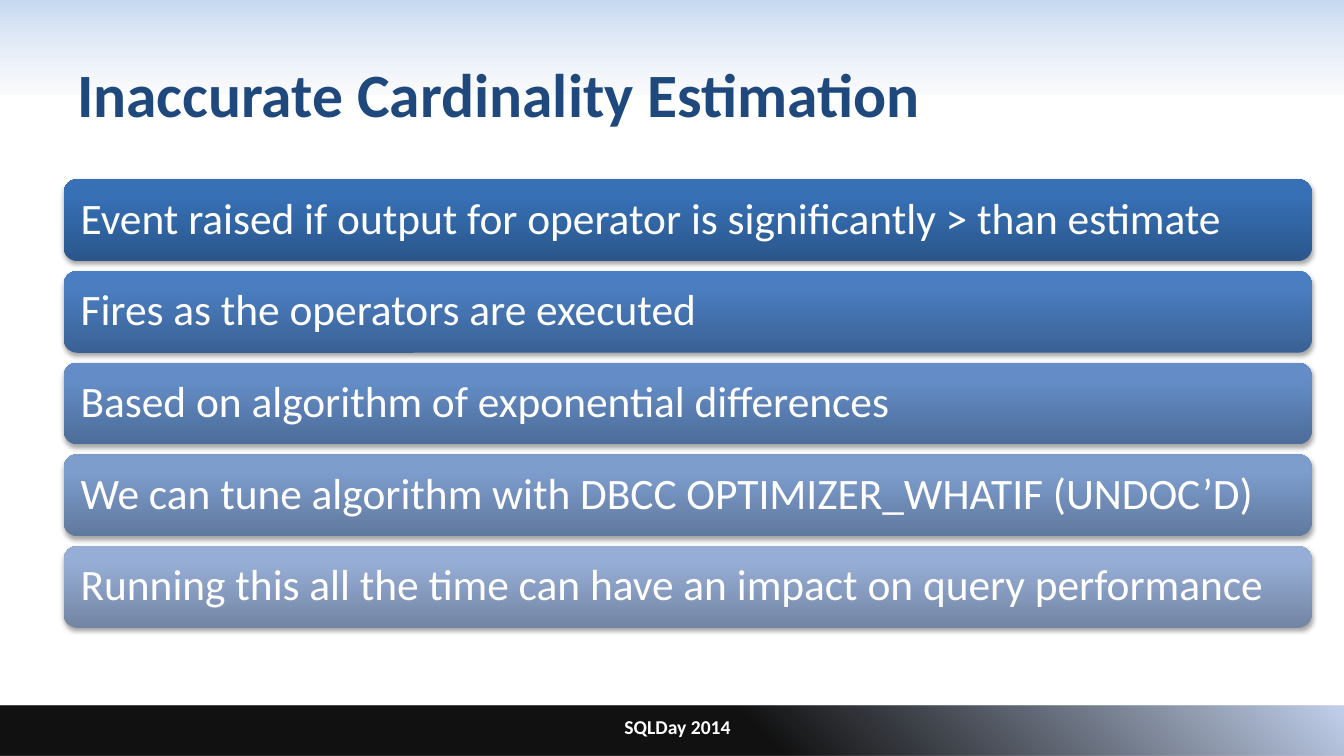
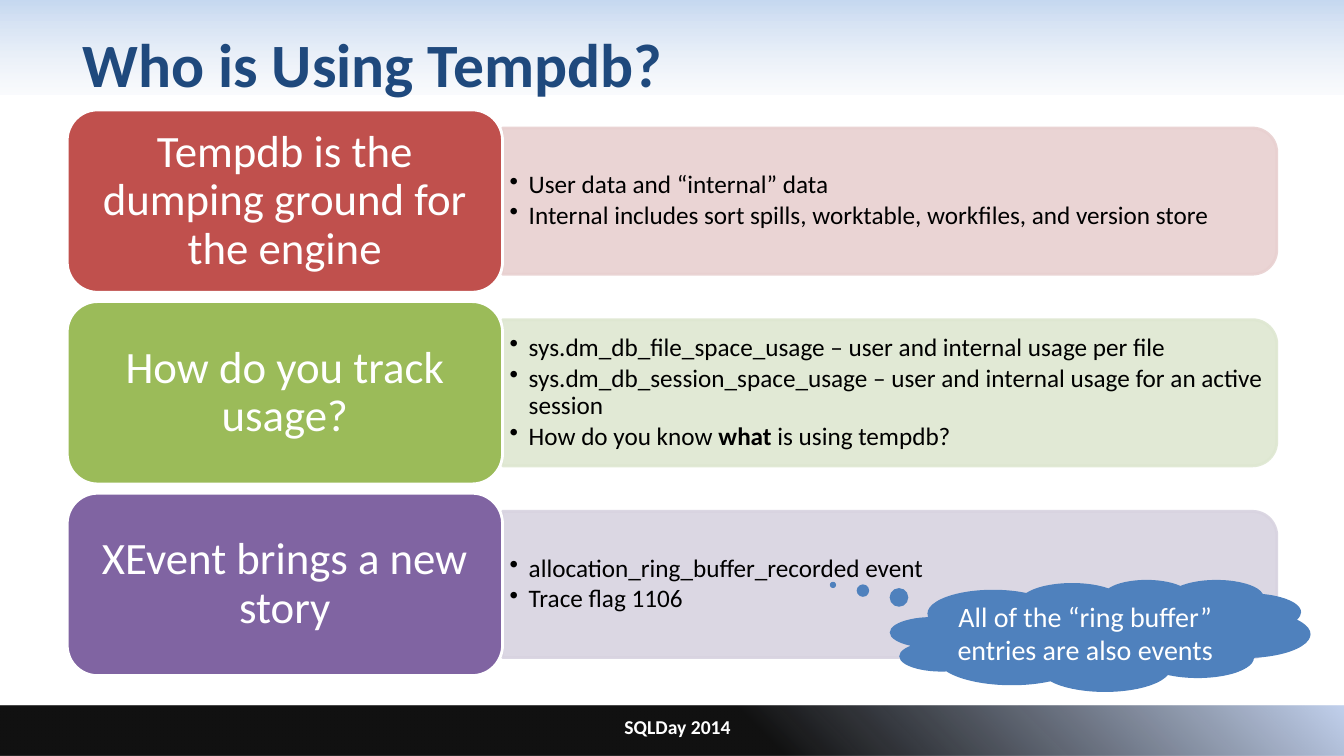
import pptx
import pptx.util
import pptx.dml.color
import pptx.enum.shapes
import pptx.enum.text
import pptx.oxml
import pptx.oxml.ns
import lxml.etree

Pt = pptx.util.Pt
RGBColor = pptx.dml.color.RGBColor
SHAPE = pptx.enum.shapes.MSO_SHAPE
ALIGN = pptx.enum.text.PP_ALIGN
MIDDLE = pptx.enum.text.MSO_ANCHOR.MIDDLE
qn = pptx.oxml.ns.qn

FONT = "Calibri"
WHITE = RGBColor(0xFF, 0xFF, 0xFF)
BLACK = RGBColor(0x00, 0x00, 0x00)
NAVY = RGBColor(0x1F, 0x49, 0x7D)
BLUE = RGBColor(0x4F, 0x81, 0xBD)
RED = RGBColor(0xC0, 0x50, 0x4D)
GREEN = RGBColor(0x9B, 0xBB, 0x59)
PURPLE = RGBColor(0x80, 0x64, 0xA2)
PALE_RED = RGBColor(0xE8, 0xD0, 0xD0)
PALE_GREEN = RGBColor(0xDE, 0xE7, 0xD1)
PALE_PURPLE = RGBColor(0xD8, 0xD3, 0xE0)
SKY = RGBColor(0xC6, 0xD9, 0xF1)
MIST = RGBColor(0xE1, 0xE8, 0xF5)
ICE = RGBColor(0xC2, 0xD1, 0xED)

SLIDE_W, SLIDE_H = 960, 540
HEADER_BAND = (0, 0, SLIDE_W, 67.5)
FOOTER_BAND = (0, 504, SLIDE_W, SLIDE_H - 504)
FOOTER_BOX = (272, 504, 424, 30)
FOOTER = "SQLDay 2014"
HEADER_STOPS = [(0, SKY, 100), (100, MIST, 16)]
FOOTER_STOPS = [(56, BLACK, 93), (100, ICE, 100)]

ESTIMATION_TITLE = "Inaccurate Cardinality Estimation"
ESTIMATION_BARS = [
    ("Event raised if output for operator is significantly > than estimate",
     "2A568B", "3770B5", "3570B8"),
    ("Fires as the operators are executed", "3A6194", "4B7EC1", "497EC4"),
    ("Based on algorithm of exponential differences",
     "4D6C99", "648DC7", "638DCA"),
    ("We can tune algorithm with DBCC OPTIMIZER_WHATIF (UNDOC’D)",
     "60799E", "7D9DCD", "7C9DD0"),
    ("Running this all the time can have an impact on query performance",
     "7385A4", "96ADD5", "95ADD7"),
]
BAR_LEFT, BAR_TOP, BAR_W, BAR_H, BAR_PITCH = 45.5, 128, 891.5, 58.5, 65.5

TEMPDB_TITLE = "Who is Using Tempdb?"
TEMPDB_TOPICS = [
    ("Tempdb is the dumping ground for the engine", RED, PALE_RED, [
        ["User data and “internal” data"],
        ["Internal includes sort spills, worktable, workfiles, and version store"],
    ]),
    ("How do you track usage?", GREEN, PALE_GREEN, [
        ["sys.dm_db_file_space_usage – user and internal usage per file"],
        ["sys.dm_db_session_space_usage – user and internal usage for an active session"],
        ["How do you know ", "what", " is using tempdb?"],
    ]),
    ("XEvent brings a new story", PURPLE, PALE_PURPLE, [
        ["allocation_ring_buffer_recorded event"],
        ["Trace flag 1106"],
    ]),
]
EMPHASIS = "what"
TOPIC_LEFT, TOPIC_TOP, TOPIC_W, TOPIC_H, TOPIC_PITCH = 48, 78.5, 311, 130.3, 136.9
PANEL_W, PANEL_H = 553, 104.4
DETAIL_W, DETAIL_H = 548, 94
BULLET_INDENT = 13.7
CALLOUT = "All of the “ring buffer” entries are also events"
CALLOUT_BOX = (635.8, 414, 300.2, 80)
CALLOUT_TAIL = (-0.636, -0.452)


def points(box):
    return [Pt(length) for length in box]


def set_margins(frame, horizontal, vertical):
    frame.margin_left = frame.margin_right = Pt(horizontal)
    frame.margin_top = frame.margin_bottom = Pt(vertical)
    frame.vertical_anchor = MIDDLE
    frame.word_wrap = True


def style(paragraph, size, color, align=ALIGN.LEFT, bold=False):
    paragraph.alignment = align
    font = paragraph.font
    font.name, font.size, font.bold = FONT, Pt(size), bold
    font.color.rgb = color


def write(shape, text, size, color, align=ALIGN.LEFT, bold=False,
          margins=(7.2, 3.6), spacing=1.0):
    set_margins(shape.text_frame, *margins)
    paragraph = shape.text_frame.paragraphs[0]
    paragraph.text = text
    paragraph.line_spacing = spacing
    style(paragraph, size, color, align, bold)


def add_box(slide, kind, box, fill=None, line=None):
    shape = slide.shapes.add_shape(kind, *points(box))
    shape.shadow.inherit = False
    if fill is not None:
        shape.fill.solid()
        shape.fill.fore_color.rgb = fill
    if line is None:
        shape.line.fill.background()
    else:
        shape.line.color.rgb = line
        shape.line.width = Pt(2)
    return shape


def add_child(parent, tag, **attributes):
    child = lxml.etree.SubElement(parent, qn(tag))
    for key, value in attributes.items():
        child.set(key, str(value))
    return child


def add_color(parent, color, opacity=100):
    element = add_child(parent, "a:srgbClr", val=color)
    if opacity < 100:
        add_child(element, "a:alpha", val=opacity * 1000)


def set_gradient(shape, stops, clockwise):
    shape.fill.gradient()
    shape.fill.gradient_angle = 360 - clockwise
    stop_list = shape.element.spPr.find(".//" + qn("a:gsLst"))
    for old_stop in list(stop_list):
        stop_list.remove(old_stop)
    for position, color, opacity in stops:
        add_color(add_child(stop_list, "a:gs", pos=position * 1000), color, opacity)


def add_shadow(shape):
    effects = shape.element.spPr.find(qn("a:effectLst"))
    shadow = add_child(effects, "a:outerShdw", blurRad=int(Pt(3.1)),
                       dist=int(Pt(1.8)), dir=90 * 60000, rotWithShape=0)
    add_color(shadow, BLACK, 35)


def add_slide(deck, title, title_box):
    slide = deck.slides.add_slide(deck.slide_layouts[6])
    for band, stops, angle in ((HEADER_BAND, HEADER_STOPS, 90),
                               (FOOTER_BAND, FOOTER_STOPS, 315)):
        set_gradient(add_box(slide, SHAPE.RECTANGLE, band), stops, angle)
    write(slide.shapes.add_textbox(*points(title_box)), title, 44, NAVY, bold=True)
    write(slide.shapes.add_textbox(*points(FOOTER_BOX)), FOOTER, 14, WHITE,
          ALIGN.CENTER, bold=True)
    return slide


def add_details(slide, box, details):
    frame = slide.shapes.add_textbox(*points(box)).text_frame
    set_margins(frame, 5, 2.9)
    for index, pieces in enumerate(details):
        paragraph = frame.paragraphs[0] if index == 0 else frame.add_paragraph()
        paragraph.line_spacing = 0.9
        paragraph.space_after = Pt(2.5)
        properties = paragraph._p.get_or_add_pPr()
        properties.set("marL", str(int(Pt(BULLET_INDENT))))
        properties.set("indent", str(-int(Pt(BULLET_INDENT))))
        add_child(properties, "a:buChar", char="•")
        style(paragraph, 18, BLACK)
        for piece in pieces:
            run = paragraph.add_run()
            run.text = piece
            if piece == EMPHASIS:
                run.font.bold = True


def build_estimation(deck):
    slide = add_slide(deck, ESTIMATION_TITLE, (48, 21.6, 864, 90))
    for index, (text, bottom, upper, top) in enumerate(ESTIMATION_BARS):
        bar = add_box(slide, SHAPE.ROUNDED_RECTANGLE,
                      (BAR_LEFT, BAR_TOP + index * BAR_PITCH, BAR_W, BAR_H))
        set_gradient(bar, [(0, bottom, 100), (80, upper, 100), (100, top, 100)], 270)
        add_shadow(bar)
        write(bar, text, 31, WHITE, margins=(9.3, 9.3), spacing=0.9)


def build_tempdb(deck):
    slide = add_slide(deck, TEMPDB_TITLE, (52, 0, 864, 90))
    panel_left = TOPIC_LEFT + TOPIC_W
    for index, (topic, color, pale, details) in enumerate(TEMPDB_TOPICS):
        top = TOPIC_TOP + index * TOPIC_PITCH
        middle = top + TOPIC_H / 2
        panel = add_box(slide, SHAPE.ROUND_2_SAME_RECTANGLE,
                        (panel_left + (PANEL_W - PANEL_H) / 2, middle - PANEL_W / 2,
                         PANEL_H, PANEL_W), pale, pale)
        panel.rotation = 90
        for tint in panel.element.spPr.iter(qn("a:srgbClr")):
            add_child(tint, "a:alpha", val=90000)
        add_details(slide, (panel_left, middle - DETAIL_H / 2, DETAIL_W, DETAIL_H),
                    details)
        label = add_box(slide, SHAPE.ROUNDED_RECTANGLE,
                        (TOPIC_LEFT, top, TOPIC_W, TOPIC_H), color, WHITE)
        write(label, topic, 32, WHITE, ALIGN.CENTER, margins=(9.5, 4.8), spacing=0.9)
    cloud = add_box(slide, SHAPE.CLOUD_CALLOUT, CALLOUT_BOX, BLUE)
    for index, offset in enumerate(CALLOUT_TAIL):
        cloud.adjustments[index] = offset
    write(cloud, CALLOUT, 20, WHITE, ALIGN.CENTER, margins=(0, 3.6))


def main():
    deck = pptx.Presentation()
    deck.slide_width, deck.slide_height = Pt(SLIDE_W), Pt(SLIDE_H)
    build_estimation(deck)
    build_tempdb(deck)
    deck.save("out.pptx")


if __name__ == "__main__":
    main()
